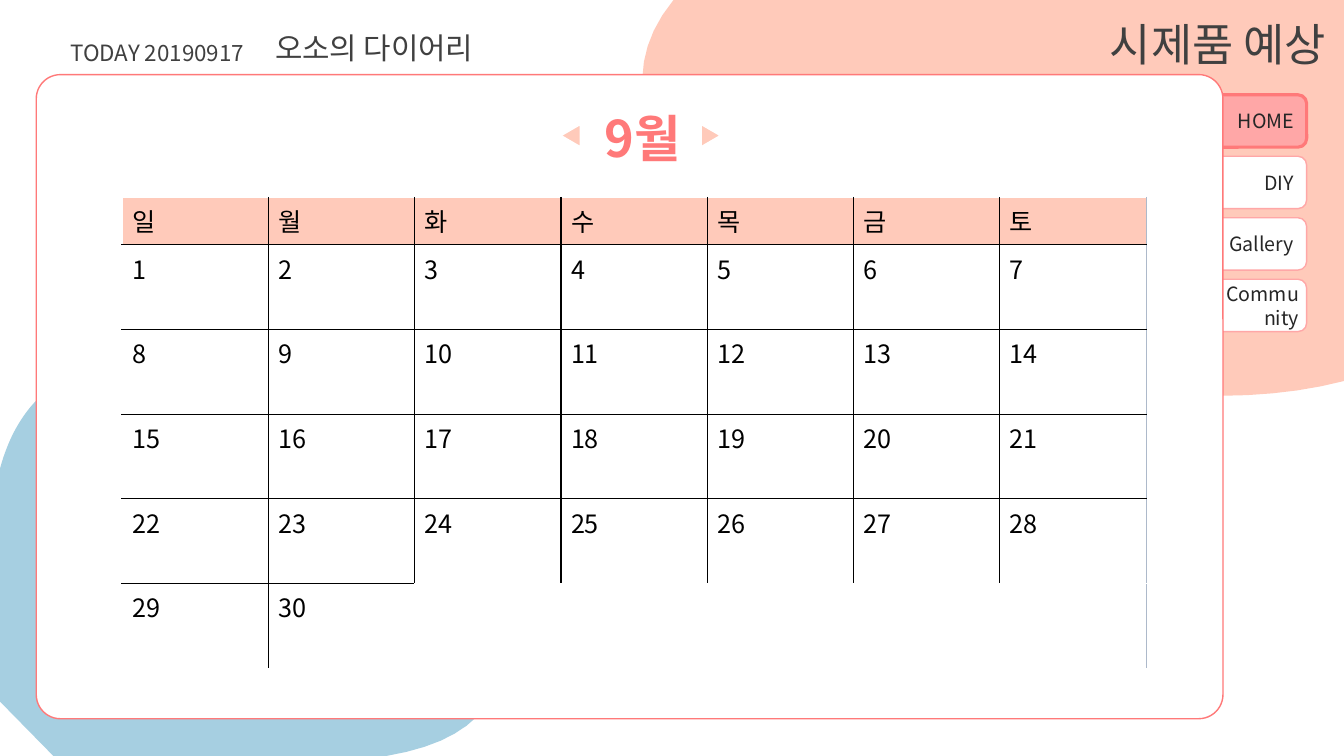
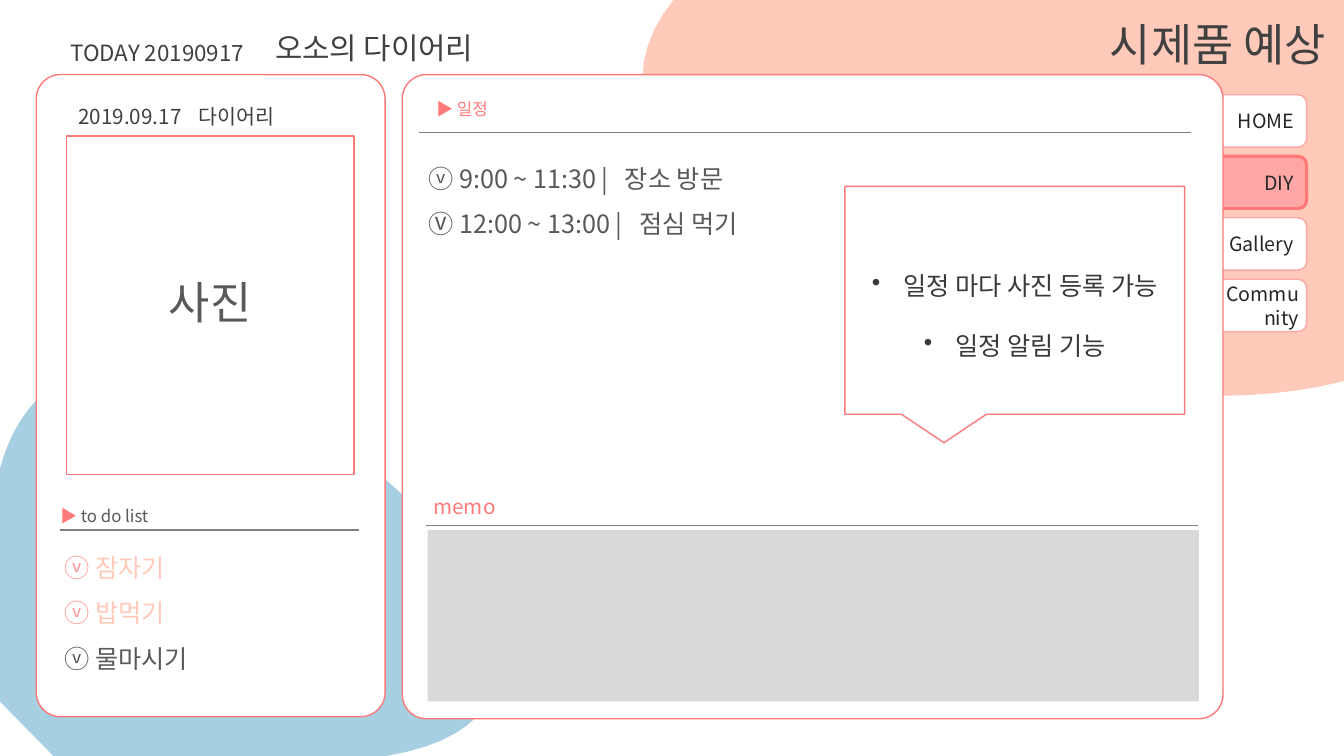
from lxml import etree
from pptx import Presentation
from pptx.dml.color import RGBColor
from pptx.enum.shapes import MSO_CONNECTOR, MSO_SHAPE
from pptx.enum.text import MSO_ANCHOR, PP_ALIGN
from pptx.oxml.ns import qn
from pptx.util import Inches, Pt

ROUND = MSO_SHAPE.ROUNDED_RECTANGLE
RECT = MSO_SHAPE.RECTANGLE
ARROW = MSO_SHAPE.ISOSCELES_TRIANGLE
CALLOUT = MSO_SHAPE.RECTANGULAR_CALLOUT
STRAIGHT = MSO_CONNECTOR.STRAIGHT
MIDDLE = MSO_ANCHOR.MIDDLE
LEFT, CENTER, RIGHT = PP_ALIGN.LEFT, PP_ALIGN.CENTER, PP_ALIGN.RIGHT

WHITE = RGBColor(0xFF, 0xFF, 0xFF)
BLACK = RGBColor(0, 0, 0)
BLUE = RGBColor(0xA6, 0xCF, 0xE1)
PEACH = RGBColor(0xFF, 0xCA, 0xBA)
PINK = RGBColor(0xFF, 0xA7, 0xA7)
ROSE = RGBColor(0xFF, 0x99, 0x99)
CORAL = RGBColor(0xFF, 0x79, 0x79)
INK = RGBColor(0x26, 0x26, 0x26)
BROWN = RGBColor(0x3B, 0x38, 0x38)
DARK = RGBColor(0x40, 0x40, 0x40)
SLATE = RGBColor(0x59, 0x59, 0x59)
GRAY = RGBColor(0x80, 0x80, 0x80)
PALE = RGBColor(0xD9, 0xD9, 0xD9)
STEEL = RGBColor(0xAD, 0xB9, 0xCA)

FONT = "Noto Sans CJK KR"
DAYS = "일월화수목금토"
PAGES = ["HOME", "DIY", "Gallery", "Community"]


def write(frame, lines, size=18, color=DARK, bold=False, align=LEFT,
          space=None, before=None, bullet=None, tabs=()):
    for i, line in enumerate(lines):
        para = frame.paragraphs[0] if i == 0 else frame.add_paragraph()
        para.alignment = align
        if space:
            para.line_spacing = space
        if before:
            para.space_before = Pt(before)
        props = para._p.get_or_add_pPr()
        if bullet:
            props.set("marL", str(Inches(bullet)))
            props.set("indent", str(-Inches(bullet)))
            etree.SubElement(props, qn("a:buChar"), char="•")
        if tabs:
            stops = etree.SubElement(props, qn("a:tabLst"))
            etree.SubElement(stops, qn("a:tab"), pos=str(Inches(tabs[i])), algn="l")
        for text, tint in [(line, color)] if isinstance(line, str) else line:
            run = para.add_run()
            run.text = text
            run.font.size = Pt(size)
            run.font.bold = bold
            run.font.color.rgb = tint
            run.font.name = FONT
            etree.SubElement(run._r.get_or_add_rPr(), qn("a:ea"), typeface=FONT)


def label(slide, x, y, w, h, *lines, **style):
    box = slide.shapes.add_textbox(Inches(x), Inches(y), Inches(w), Inches(h))
    box.text_frame.word_wrap = True
    write(box.text_frame, lines, **style)


def paint(item, fill=None, line=None, width=1):
    item.shadow.inherit = False
    if fill is None:
        item.fill.background()
    else:
        item.fill.solid()
        item.fill.fore_color.rgb = fill
    if line is None:
        item.line.fill.background()
    else:
        item.line.color.rgb = line
        item.line.width = Pt(width)


def block(slide, kind, x, y, w, h, adjust=None, **look):
    item = slide.shapes.add_shape(kind, Inches(x), Inches(y), Inches(w), Inches(h))
    if adjust:
        item.adjustments[0] = adjust
    paint(item, **look)
    item.text_frame.word_wrap = True
    item.text_frame.vertical_anchor = MIDDLE
    return item


def rule(slide, x, y, w, width=0.5):
    line = slide.shapes.add_connector(STRAIGHT, Inches(x), Inches(y), Inches(x + w), Inches(y))
    line.line.color.rgb = GRAY
    line.line.width = Pt(width)
    etree.SubElement(line._element.spPr, qn("a:effectLst"))


def curve(*knots, steps=40):
    dots = []
    for i in range(steps + 1):
        t = i / steps
        s = 1 - t
        parts = (s ** 3, 3 * s * s * t, 3 * s * t * t, t ** 3)
        dots.append(tuple(sum(k * p[n] for k, p in zip(parts, knots)) for n in (0, 1)))
    return dots


def blob(slide, dots, fill):
    dots = [(Inches(x), Inches(y)) for x, y in dots]
    pen = slide.shapes.build_freeform(*dots[0])
    pen.add_line_segments(dots[1:], close=True)
    paint(pen.convert_to_shape(), fill)


def scenery(slide):
    blob(slide, curve((1.37, 3.61), (3.44, 3.67), (6.68, 7.03), (3.83, 7.5))
         + [(0.53, 7.5), (0, 6.96)]
         + curve((0, 4.65), (0.21, 3.88), (0.73, 3.59), (1.37, 3.61)), BLUE)
    blob(slide, [(13.33, 0)]
         + curve((13.33, 3.78), (10.32, 4.57), (5.04, 2), (6.68, 0)), PEACH)


def menu(slide, x, y, active):
    for i, name in enumerate(PAGES):
        if name == active:
            look = dict(fill=PINK, line=CORAL, width=2.25)
        else:
            look = dict(fill=WHITE, line=PINK)
        item = block(slide, ROUND, x, y + i * 0.61, 0.95, 0.52, **look)
        if name == "Community":
            item.text_frame.margin_right = Inches(0.05)
        write(item.text_frame, [name], size=14, color=INK, align=RIGHT)


def panel(slide, x, y, w, h):
    block(slide, ROUND, x, y, w, h, adjust=0.24 / min(w, h), fill=WHITE, line=CORAL)


def header(slide):
    label(slide, 0.6, 0.34, 2.34, 0.37, "TODAY 20190917", size=16)
    label(slide, 2.63, 0.25, 2.41, 0.46, "오소의 다이어리", size=21.3)
    label(slide, 10.91, -0.15, 2.42, 0.8, "시제품 예상", size=32, space=1.5)


def border(cell, **sides):
    props = cell._tc.get_or_add_tcPr()
    for side in "LRTB":
        color = sides.get(side)
        if color is not None:
            edge = etree.SubElement(props, qn("a:ln" + side), w=str(Pt(1)))
            fill = etree.SubElement(edge, qn("a:solidFill"))
            etree.SubElement(fill, qn("a:srgbClr"), val=str(color))


def grid(slide, x, y, w, h):
    rows, cols, top = 6, 7, 0.47
    frame = slide.shapes.add_table(rows, cols, Inches(x), Inches(y), Inches(w), Inches(h))
    table = frame.table
    table.first_row = table.horz_banding = False
    for col in table.columns:
        col.width = Inches(w / cols)
    for r, row in enumerate(table.rows):
        row.height = Inches((h - top) / (rows - 1) if r else top)
        for c, cell in enumerate(row.cells):
            day = (r - 1) * cols + c + 1
            side = {}
            if c and (r < 5 or c == 1):
                side["L"] = BLACK
            if c == cols - 1:
                side["R"] = STEEL
            elif r < 5 or c == 0:
                side["R"] = BLACK
            if 0 < r and day <= 30:
                side["T"] = BLACK
            if r < 4 or day + cols <= 30:
                side["B"] = BLACK
            border(cell, **side)
            if r:
                cell.fill.background()
            else:
                cell.fill.solid()
                cell.fill.fore_color.rgb = PEACH
            if day <= 30:
                write(cell.text_frame, [str(day) if r else DAYS[c]], color=BLACK)


def month(slide, x, y, w, h):
    panel(slide, x, y, w, h)
    grid(slide, x + 0.85, y + 1.22, 10.16, 4.67)
    label(slide, x + 5.54, y + 0.27, 1.18, 0.71, "9월", size=36, color=CORAL, bold=True)
    for shift, turn in ((5.19, 270), (6.58, 90)):
        arrow = block(slide, ARROW, x + shift, y + 0.51, 0.22, 0.19, fill=PEACH, line=WHITE)
        arrow.rotation = turn


def diary(slide, x, y, w, h):
    panel(slide, x, y, w, h)
    label(slide, x + 0.32, y + 0.24, 2.24, 0.35, "2019.09.17\t다이어리",
          size=14.7, tabs=[1.19])
    photo = block(slide, RECT, x + 0.3, y + 0.61, 2.85, 3.36, line=CORAL)
    write(photo.text_frame, ["사진"], size=32, color=SLATE, align=CENTER,
          space=0.9, before=10)
    label(slide, x + 0.14, y + 4.23, 1.3, 0.3,
          [("▶ ", CORAL), ("to do list", SLATE)], size=12)
    rule(slide, x + 0.24, y + 4.52, 2.96, width=1)
    label(slide, x + 0.18, y + 4.54, 1.55, 1.77,
          [("ⓥ ", ROSE), ("잠자기", PEACH)],
          [("ⓥ ", ROSE), ("밥먹기", PEACH)],
          "ⓥ 물마시기", color=SLATE, space=1.5)


def plan(slide, x, y, w, h):
    panel(slide, x, y, w, h)
    label(slide, x + 0.24, y + 0.19, 0.85, 0.3, "▶ 일정", size=12, color=CORAL)
    rule(slide, x + 0.17, y + 0.57, 7.65)
    label(slide, x + 0.16, y + 0.68, 3.55, 1.31,
          "ⓥ 9:00 ~ 11:30 |\t장소 방문", "Ⓥ 12:00 ~ 13:00 |\t점심 먹기",
          color=SLATE, space=1.5, tabs=[1.95, 2.09])
    label(slide, x + 0.21, y + 4.11, 1.12, 0.35, "memo", size=14.7, color=CORAL)
    rule(slide, x + 0.24, y + 4.47, 7.65)
    block(slide, RECT, x + 0.25, y + 4.52, 7.65, 1.7, fill=PALE)
    note = block(slide, CALLOUT, x + 4.39, y + 1.11, 3.37, 2.26, fill=WHITE, line=CORAL)
    write(note.text_frame, ["일정 마다 사진 등록 가능", "일정 알림 기능"],
          color=BROWN, align=CENTER, space=2.0, bullet=0.31)


def page(deck, active):
    slide = deck.slides.add_slide(deck.slide_layouts[6])
    scenery(slide)
    menu(slide, 12.01, 0.94, active)
    header(slide)
    return slide


def main():
    deck = Presentation()
    deck.slide_width, deck.slide_height = Inches(13.33), Inches(7.5)
    month(page(deck, "HOME"), 0.36, 0.74, 11.77, 6.39)
    daily = page(deck, "DIY")
    diary(daily, 0.36, 0.74, 3.46, 6.37)
    plan(daily, 3.99, 0.74, 8.14, 6.39)
    deck.save("out.pptx")


if __name__ == "__main__":
    main()
